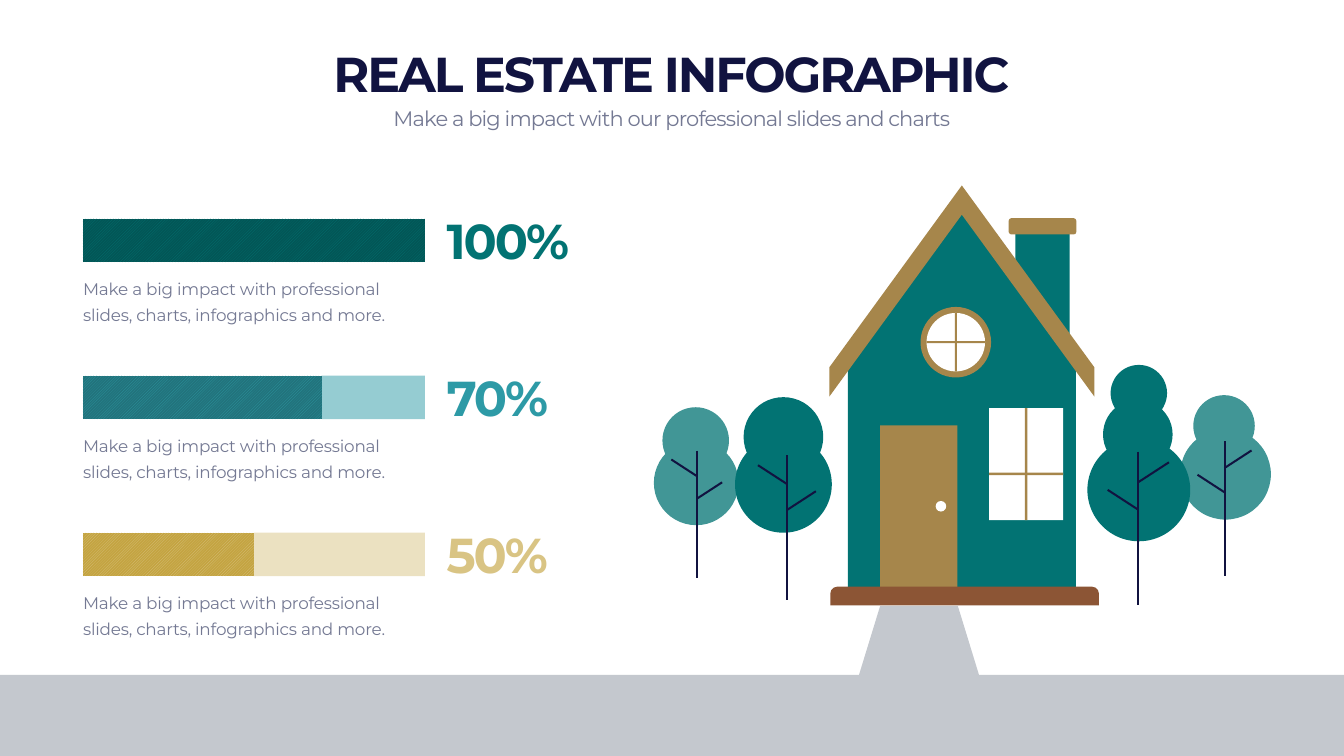
from dataclasses import dataclass

from lxml import etree
from pptx import Presentation
from pptx import util as u
from pptx.chart.data import CategoryChartData
from pptx.dml.color import RGBColor
from pptx.enum import chart as charts, dml, shapes, text
from pptx.oxml import parse_xml
from pptx.oxml.ns import nsdecls, qn

TEAL = RGBColor(0x02, 0x73, 0x73)
DARK_TEAL = RGBColor(0x02, 0x56, 0x56)
PALE_TEAL = RGBColor(0x41, 0x96, 0x96)
SKY = RGBColor(0x2D, 0x9A, 0xA6)
DARK_SKY = RGBColor(0x22, 0x73, 0x7C)
SAND = RGBColor(0xD9, 0xC4, 0x84)
GOLD = RGBColor(0xC4, 0xA4, 0x41)
TAN = RGBColor(0xA6, 0x86, 0x4B)
BROWN = RGBColor(0x8C, 0x55, 0x35)
NAVY = RGBColor(0x11, 0x13, 0x40)
SLATE = RGBColor(0x74, 0x79, 0x93)
GREY = RGBColor(0xC4, 0xC8, 0xCE)
WHITE = RGBColor(0xFF, 0xFF, 0xFF)

UNIT = 2.54  # one layout unit in centimetres
WIDTH, HEIGHT = 26.66, 15
RECT, OVAL = shapes.MSO_SHAPE.RECTANGLE, shapes.MSO_SHAPE.OVAL
Points = list[tuple[float, float]]


@dataclass
class Bar:
    percent: int
    rest: int
    color: RGBColor
    shade: RGBColor
    track: RGBColor


@dataclass
class Tree:
    crown: list[tuple[float, float, float]]  # centre x, centre y, radius
    x: float
    top: float
    height: float
    side: int  # direction of the upper branch
    color: RGBColor


def cm(units: float) -> u.Length:
    return u.Cm(units * UNIT)


def paint(sp, color: RGBColor) -> None:
    sp.shadow.inherit = False
    sp.fill.solid()
    sp.fill.fore_color.rgb = color
    sp.line.fill.background()


def block(kind, x: float, y: float, w: float, h: float, color: RGBColor, adj=()) -> None:
    sp = s.shapes.add_shape(kind, cm(x), cm(y), cm(w), cm(h))
    for i, value in enumerate(adj):
        sp.adjustments[i] = value
    paint(sp, color)


def outline(paths: list[Points], closed: bool = True):
    scaled = [[(cm(x), cm(y)) for x, y in path] for path in paths]
    builder = s.shapes.build_freeform(*scaled[0][0])
    for i, path in enumerate(scaled):
        if i:
            builder.move_to(*path[0])
        builder.add_line_segments(path[1:], close=closed)
    sp = builder.convert_to_shape()
    sp.shadow.inherit = False
    return sp


def mirrored(half: Points, axis: float) -> Points:
    """Outline from its right half, given as offsets from the axis."""
    return [(axis + dx, y) for dx, y in half] + [(axis - dx, y) for dx, y in reversed(half)]


def label(x: float, y: float, w: float, h: float, words: str, fmt: dict, color: RGBColor,
          spacing: float, align=text.PP_ALIGN.LEFT, anchor=text.MSO_ANCHOR.TOP,
          leading=None) -> None:
    tf = s.shapes.add_textbox(cm(x), cm(y), cm(w), cm(h)).text_frame
    tf.word_wrap = True
    tf.auto_size = text.MSO_AUTO_SIZE.SHAPE_TO_FIT_TEXT
    tf.vertical_anchor = anchor
    p = tf.paragraphs[0]
    p.alignment = align
    p.line_spacing = leading
    r = p.add_run()
    r.text = words
    for name, value in fmt.items():
        setattr(r.font, name, value)
    r.font.color.rgb = color
    r._r.get_or_add_rPr().set("spc", str(round(spacing * 100)))


def draw_bar(bar: Bar, top: float) -> None:
    data = CategoryChartData()
    data.categories = ["1"]
    data.add_series("Series 1", [100])
    data.add_series("Series 2", [bar.rest])
    chart = s.shapes.add_chart(charts.XL_CHART_TYPE.BAR_STACKED, cm(1.48), cm(top),
                               cm(7.09), cm(1.18), data).chart
    chart.has_legend = chart.has_title = False
    chart.font.name, chart.font.size = "Calibri", u.Pt(10)
    chart.font.color.rgb = SLATE
    axis = chart.value_axis
    axis.has_major_gridlines = False
    axis.minimum_scale, axis.maximum_scale = 0, 100 + bar.rest
    axis.visible = chart.category_axis.visible = False
    plot = chart.plots[0]
    plot.gap_width, plot.overlap, plot.vary_by_categories = 0, 100, False
    done, rest = plot.series
    fill = done.format.fill
    fill.patterned()
    fill.pattern = dml.MSO_PATTERN.WIDE_UPWARD_DIAGONAL
    fill.fore_color.rgb, fill.back_color.rgb = bar.color, bar.shade
    rest.format.fill.solid()
    rest.format.fill.fore_color.rgb = bar.track
    for color in rest._element.iter(qn("a:srgbClr")):
        etree.SubElement(color, qn("a:alpha")).set("val", "50000")
    # Fixed plot area inside the chart frame
    area = chart._chartSpace.find(".//" + qn("c:plotArea"))
    for old in area.findall(qn("c:layout")):
        area.remove(old)
    sizes = {"x": 0.023, "y": 0.136, "w": 0.957, "h": 0.729}
    modes = "".join(f'<c:{m}Mode val="edge"/>' for m in "xy")
    values = "".join(f'<c:{k} val="{v}"/>' for k, v in sizes.items())
    area.insert(0, parse_xml(f'<c:layout {nsdecls("c")}><c:manualLayout><c:layoutTarget val="inner"/>'
                             f'{modes}{values}</c:manualLayout></c:layout>'))


def draw_tree(tree: Tree) -> None:
    for cx, cy, radius in tree.crown:
        block(OVAL, cx - radius, cy - radius, 2 * radius, 2 * radius, tree.color)
    # Trunk with two branches
    x, h = tree.x, tree.height
    paths = [[(x, tree.top), (x, tree.top + h)]]
    for side, start in ((tree.side, 0.2), (-tree.side, 0.38)):
        y = tree.top + start * h
        paths.append([(x, y), (x + side * 0.2 * h, y - 0.13 * h)])
    trunk = outline(paths, closed=False)
    trunk.fill.background()
    trunk.line.color.rgb = NAVY
    trunk.line.width = cm(0.04)


prs = Presentation()
prs.slide_width, prs.slide_height = cm(WIDTH), cm(HEIGHT)
s = prs.slides.add_slide(prs.slide_layouts[6])

# House: chimney, walls and roof
AXIS = 19.08
block(RECT, 20.14, 4.54, 1.08, 2.35, TEAL)
paint(outline([mirrored([(0, 4.19), (2.26, 7.32), (2.26, 11.65)], AXIS)]), TEAL)
paint(outline([mirrored([(0, 3.68), (2.63, 7.29), (2.63, 7.87), (0, 4.26)], AXIS)]), TAN)

# Door, windows, step and chimney cap
block(RECT, 17.46, 8.44, 1.53, 3.21, TAN)
block(OVAL, 18.26, 6.09, 1.4, 1.4, TAN)
block(OVAL, 18.38, 6.21, 1.16, 1.16, WHITE)
block(RECT, 18.94, 6.21, 0.04, 1.16, TAN)
block(RECT, 18.38, 6.77, 1.16, 0.04, TAN)
block(RECT, 19.62, 8.1, 1.47, 2.22, WHITE)
block(RECT, 20.33, 8.1, 0.05, 2.22, TAN)
block(RECT, 19.62, 9.38, 1.47, 0.05, TAN)
block(shapes.MSO_SHAPE.ROUND_2_SAME_RECTANGLE, 16.47, 11.64, 5.33, 0.37, BROWN, (0.38, 0))
block(OVAL, 18.56, 9.94, 0.21, 0.21, WHITE)
block(shapes.MSO_SHAPE.ROUNDED_RECTANGLE, 20.01, 4.33, 1.34, 0.32, TAN, (0.16,))

# Trees, the pale ones behind
for tree in (
    Tree([(24.28, 8.45, 0.61), (24.31, 9.41, 0.9)], 24.29, 8.75, 2.68, 1, PALE_TEAL),
    Tree([(13.8, 8.74, 0.66), (13.81, 9.58, 0.84)], 13.82, 8.94, 2.52, -1, PALE_TEAL),
    Tree([(22.59, 7.8, 0.56), (22.57, 8.62, 0.69), (22.59, 9.72, 1.02)],
         22.58, 8.96, 3.04, 1, TEAL),
    Tree([(15.54, 8.67, 0.79), (15.54, 9.61, 0.96)], 15.61, 9.03, 2.87, -1, TEAL),
):
    draw_tree(tree)

# Ground and path to the door
paint(outline([[(19.42, 13.39), (19, 12.02), (17.46, 12.02), (17.04, 13.39), (0, 13.39),
                (0, HEIGHT), (WIDTH, HEIGHT), (WIDTH, 13.39)]]), GREY)

# Headings
big = {"name": "Montserrat", "size": u.Pt(70), "bold": True}
label(1.66, 0.8, 23.33, 1.28, "REAL ESTATE INFOGRAPHIC", big, NAVY, -2.9,
      text.PP_ALIGN.CENTER, text.MSO_ANCHOR.BOTTOM)
label(1.66, 2.04, 23.33, 0.61, "Make a big impact with our professional slides and charts",
      {"name": "Montserrat", "size": u.Pt(30)}, SLATE, -1.2, text.PP_ALIGN.CENTER)

# Percentage bars with captions
caption = {"name": "Montserrat", "size": u.Pt(24)}
bars = (Bar(100, 0, TEAL, DARK_TEAL, SKY), Bar(70, 43, SKY, DARK_SKY, SKY),
        Bar(50, 100, SAND, GOLD, SAND))
for i, bar in enumerate(bars):
    top = 4.18 + i * 3.115
    draw_bar(bar, top)
    label(8.76, top - 0.07, 3.04, 1.28, f"{bar.percent}%", big, bar.color, -2.9,
          anchor=text.MSO_ANCHOR.BOTTOM)
    label(1.55, top + 1.21, 6.96, 1.07,
          "Make a big impact with professional slides, charts, infographics and more.",
          caption, SLATE, -0.3, leading=u.Pt(36))

prs.save("out.pptx")
